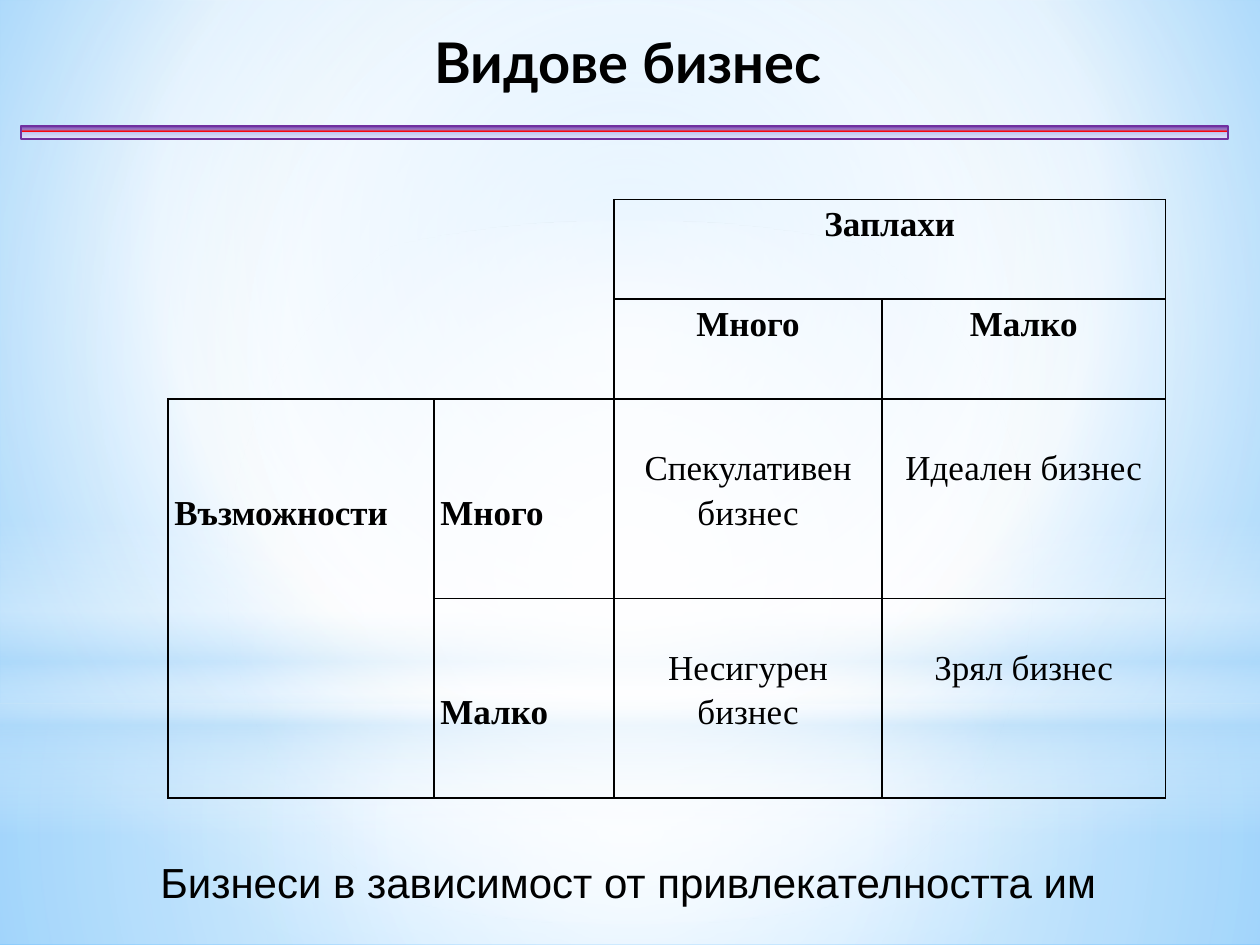
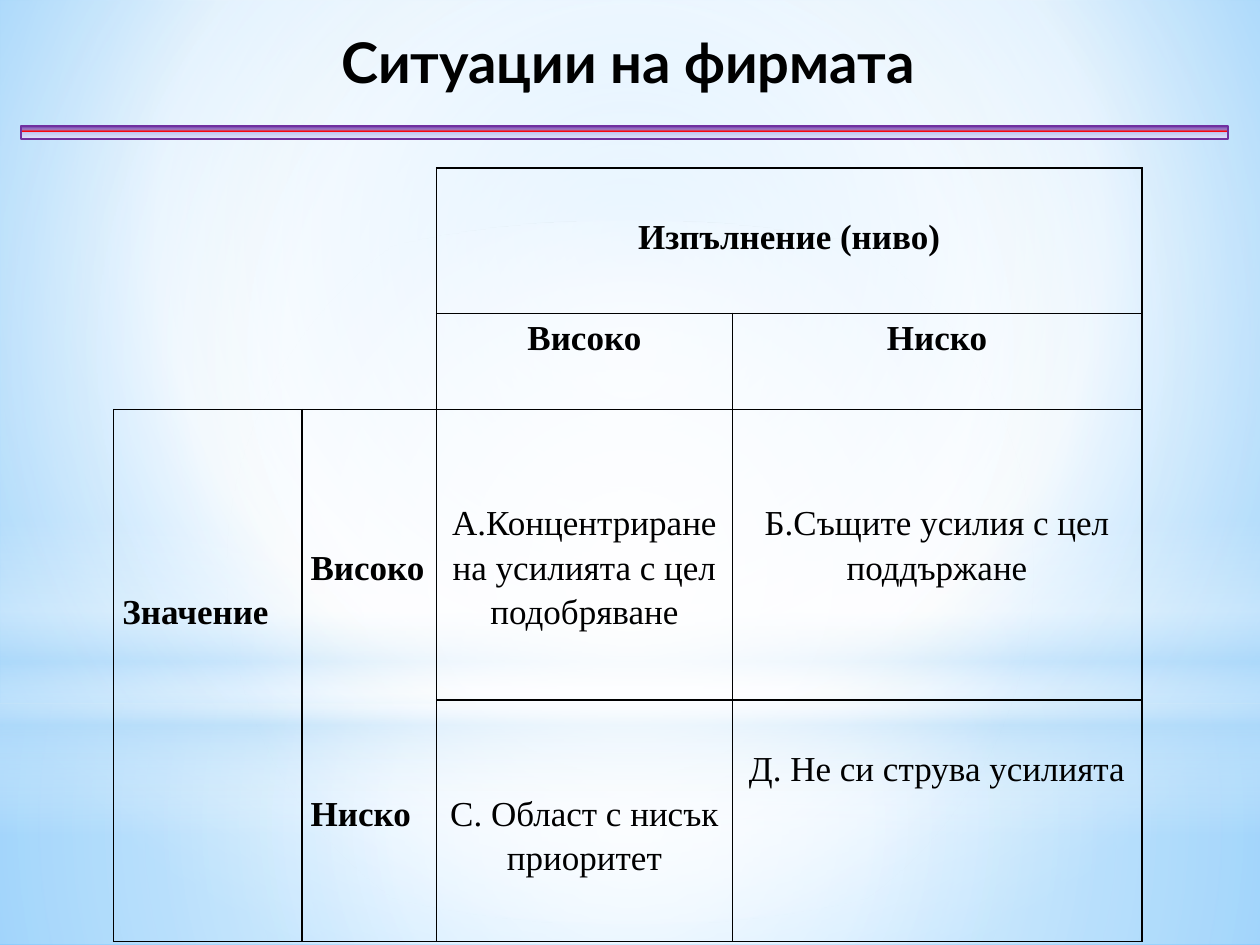
from pptx import Presentation
from pptx.enum import shapes as sh, text as tx
from pptx.dml.color import RGBColor
from pptx.oxml import parse_xml
from pptx.oxml.ns import qn, nsdecls
from pptx.util import Pt

BLACK, WHITE, SKY, PLUM = "000000", "FFFFFF", "B4DCFA", "7030A0"
LINE = 25.45  # height of one table line
MID = (50, 50, 50, 50)
SERIF = dict(name="Times New Roman", size=Pt(20))
HEAD = dict(name="Lato", size=Pt(32), bold=True)
NOTE = dict(name="Arial", size=Pt(24), bold=False)

# Ground layers: preset, top, height, stops (place, colour, opacity), focus
LAYERS = [
    ("RECTANGLE", 402, 138, [(0, WHITE, 91), (37, WHITE, 76), (100, SKY, 79)], MID),
    ("RECTANGLE", 0, 402, [(0, WHITE, 89), (48, WHITE, 62), (100, SKY, 79)], MID),
    ("RECTANGLE", 297, 180, [(0, WHITE, 0), (29, WHITE, 30), (45, SKY, 40),
                             (55, WHITE, 26), (65, SKY, 60), (100, WHITE, 0)], None),
    ("OVAL", 126, 402, [(0, WHITE, 100), (56, WHITE, 0)], MID),
]
GROUND = [(0, "9ED5FF", 100), (60, WHITE, 100), (100, "5BB9FF", 100)]
BAND = [(0, PLUM, 100), (25, "987CC9", 100), (43, "FF0000", 100),
        (50, "C1C7F2", 100), (100, "E1E3F8", 100)]

# Cells are (text, blank lines above)
KINDS = [
    [None, None, ("Заплахи", 0), None],
    [None, None, ("Много", 0), ("Малко", 0)],
    [("Възможности", 2), ("Много", 2), ("Спекулативен бизнес", 1), ("Идеален бизнес", 1)],
    [None, ("Малко", 2), ("Несигурен бизнес", 1), ("Зрял бизнес", 1)],
]
STATES = [
    [None, None, ("Изпълнение (ниво)", 1), None],
    [None, None, ("Високо", 0), ("Ниско", 0)],
    [("Значение", 4), ("Високо", 3), ("А.Концентриране на усилията с цел подобряване", 2),
     ("Б.Същите усилия с цел поддържане", 2)],
    [None, ("Ниско", 2), ("С. Област с нисък приоритет", 2), ("Д. Не си струва усилията", 1)],
]


def rgb(code):
    return RGBColor.from_string(code)


def blend(host, stops, focus=None):
    """Swap the empty fill of host for a gradient, round if focus is given."""
    marks = "".join(
        f'<a:gs pos="{pos * 1000}"><a:srgbClr val="{hue}">'
        f'<a:alpha val="{seen * 1000}"/></a:srgbClr></a:gs>'
        for pos, hue, seen in stops)
    if focus:
        rect = " ".join(f'{side}="{val * 1000}"' for side, val in zip("ltrb", focus))
        way = f'<a:path path="circle"><a:fillToRect {rect}/></a:path>'
    else:
        way = '<a:lin ang="5400000" scaled="0"/>'
    host.replace(host.find(qn("a:noFill")), parse_xml(
        f'<a:gradFill {nsdecls("a")} rotWithShape="1"><a:gsLst>{marks}</a:gsLst>{way}</a:gradFill>'))


def block(slide, kind, box, stops, focus=None):
    shape = slide.shapes.add_shape(getattr(sh.MSO_SHAPE, kind), *map(Pt, box))
    shape.shadow.inherit = False
    shape.line.fill.background()
    shape.fill.background()
    blend(shape.element.spPr, stops, focus)
    return shape


def ground(master, slide):
    """Build the layers on a slide, then move them behind all on the master."""
    master.background.fill.background()
    blend(master.element.find(".//" + qn("p:bgPr")), GROUND, (20, 10, 20, 60))
    tree = master.shapes.element if hasattr(master.shapes, "element") else master.shapes._spTree
    for spot, (kind, top, high, stops, focus) in enumerate(LAYERS, 2):
        tree.insert(spot, block(slide, kind, (0, top, 720, high), stops, focus).element)


def write(frame, words, style, align, space=1.0):
    frame.word_wrap = True
    para = frame.paragraphs[0]
    para.text = words
    para.alignment = align
    para.line_spacing = space
    for key, val in style.items():
        setattr(para.font, key, val)
    para.font.color.rgb = rgb(BLACK)


def label(shape, box, words, style, anchor):
    for side, val in zip(("left", "top", "width", "height"), box):
        setattr(shape, side, Pt(val))
    frame = shape.text_frame
    frame.auto_size = tx.MSO_AUTO_SIZE.NONE
    frame.vertical_anchor = anchor
    write(frame, words, style, tx.PP_ALIGN.CENTER)


def edge(cell, sides):
    props = cell._tc.get_or_add_tcPr()
    for spot, side in enumerate("LRTB"):
        fill = f'<a:solidFill><a:srgbClr val="{BLACK}"/></a:solidFill>'
        if side not in sides:
            fill = "<a:noFill/>"
        props.insert(spot, parse_xml(
            f'<a:ln{side} {nsdecls("a")} w="12700">{fill}</a:ln{side}>'))


def rim(row, col, split):
    """Name the drawn sides of a cell; split tells if column 1 has a middle line."""
    if col > 1 or (row > 1 and col == 1 and split):
        return "LRTB"
    if row > 1:
        return "LRT" if row == 2 else "LRB"
    return ("R" if col == 1 else "") + ("B" if row == 1 else "")


def matrix(slide, spot, cols, rows, cells, pad, split):
    size = sum(cols), sum(rows)
    table = slide.shapes.add_table(len(rows), len(cols), *map(Pt, spot + size)).table
    table.first_row = table.horz_banding = False
    for col, wide in zip(table.columns, cols):
        col.width = Pt(wide)
    for row, high in zip(table.rows, rows):
        row.height = Pt(high)
    for r, line in enumerate(cells):
        for c, item in enumerate(line):
            cell = table.cell(r, c)
            words, gap = item or ("", 0)
            cell.margin_left = cell.margin_right = Pt(pad)
            cell.margin_top, cell.margin_bottom = Pt(gap * LINE), 0
            cell.fill.background()
            edge(cell, rim(r, c, split))
            align = tx.PP_ALIGN.CENTER if c > 1 else tx.PP_ALIGN.LEFT
            write(cell.text_frame, words, dict(SERIF, bold=min(r, c) < 2), align, 1.15)
    table.cell(0, 2).merge(table.cell(0, 3))


def page(deck, title):
    slide = deck.slides.add_slide(deck.slide_layouts[5])
    band = block(slide, "RECTANGLE", (12, 72, 690, 7.5), BAND)
    band.line.color.rgb = rgb(PLUM)
    band.line.width = Pt(1.25)
    label(slide.shapes.title, (12, 12, 694, 46), title, HEAD, tx.MSO_ANCHOR.TOP)
    return slide


def main():
    deck = Presentation()
    deck.slide_width, deck.slide_height = Pt(720), Pt(540)

    kinds = page(deck, "Видове бизнес")
    ground(deck.slide_master, kinds)
    matrix(kinds, (96, 114), (152, 103, 153, 162), (57, 57, 114, 114), KINDS, 3.6, True)
    box = (12, 486, 694, 36)
    note = kinds.shapes.add_textbox(*map(Pt, box))
    label(note, box, "Бизнеси в зависимост от привлекателността им", NOTE, tx.MSO_ANCHOR.MIDDLE)

    states = page(deck, "Ситуации на фирмата")
    matrix(states, (65, 96), (107.5, 77, 169, 234), (83, 55, 166, 138), STATES, 5, False)

    deck.save("out.pptx")


if __name__ == "__main__":
    main()
